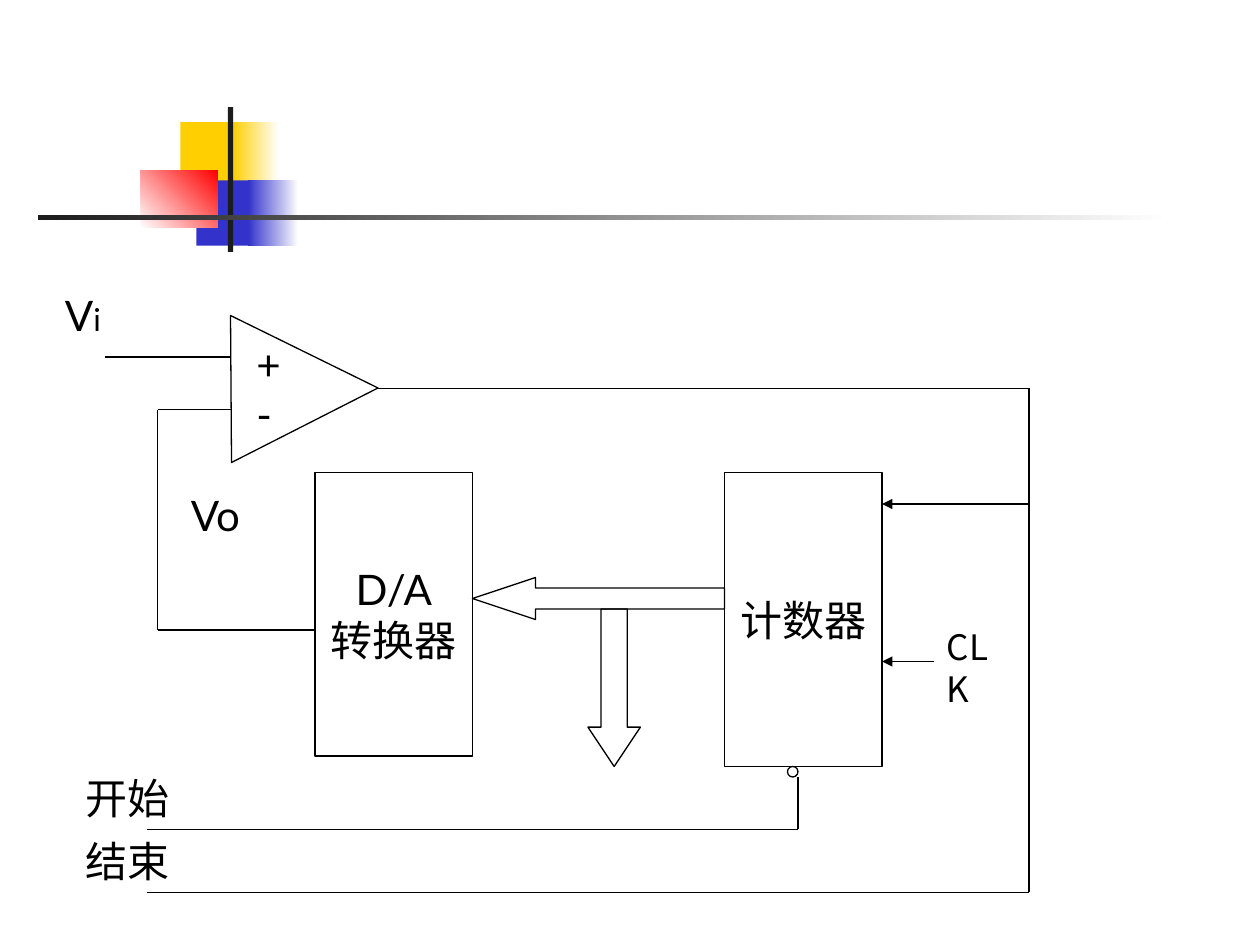
from typing import NamedTuple, Optional

from lxml import etree
from pptx import Presentation
from pptx.dml.color import RGBColor
from pptx.enum.shapes import MSO_CONNECTOR, MSO_SHAPE
from pptx.enum.text import MSO_ANCHOR, MSO_AUTO_SIZE, PP_ALIGN
from pptx.oxml.ns import qn
from pptx.util import Pt

RECT = MSO_SHAPE.RECTANGLE
TRIANGLE = MSO_SHAPE.ISOSCELES_TRIANGLE
OVAL = MSO_SHAPE.OVAL
LEFT_ARROW, DOWN_ARROW = MSO_SHAPE.LEFT_ARROW, MSO_SHAPE.DOWN_ARROW
STRAIGHT = MSO_CONNECTOR.STRAIGHT
MIDDLE = MSO_ANCHOR.MIDDLE
LEFT, CENTER = PP_ALIGN.LEFT, PP_ALIGN.CENTER
FIT_SHAPE = MSO_AUTO_SIZE.SHAPE_TO_FIT_TEXT

BLACK = RGBColor(0x00, 0x00, 0x00)
WHITE = RGBColor(0xFF, 0xFF, 0xFF)
YELLOW = RGBColor(0xFF, 0xCF, 0x01)
BLUE = RGBColor(0x33, 0x33, 0xCC)
RED = RGBColor(0xFF, 0x00, 0x00)
DARK = RGBColor(0x1C, 0x1C, 0x1C)
LATIN, HAN = "Lato", "Noto Sans CJK SC"
LINE_WIDTH = 0.75


class Box(NamedTuple):
    x: float
    y: float
    w: float
    h: float


class Ornament(NamedTuple):
    box: Box
    color: RGBColor
    fade_to: Optional[RGBColor] = None
    angle: float = 0


class Outline(NamedTuple):
    kind: MSO_SHAPE
    box: Box
    adjustments: tuple = ()
    rotation: float = 0
    lines: tuple = ()


class Wire(NamedTuple):
    """Points joined one after another; an arrow sits at the last one."""
    points: tuple
    arrow: bool = False


class Label(NamedTuple):
    box: Box
    runs: tuple
    font: str = LATIN
    space_before: float = 15


ORNAMENTS = (
    Ornament(Box(103, 69.8, 34.6, 37.4), YELLOW),
    Ornament(Box(133.2, 69.8, 26, 37.4), YELLOW, WHITE),
    Ornament(Box(112.3, 103, 33.1, 37.4), BLUE),
    Ornament(Box(141.8, 103, 28.8, 37.4), BLUE, WHITE),
    Ornament(Box(80.6, 97.2, 44, 33.1), WHITE, RED, 45),
    Ornament(Box(130.3, 61.2, 2.9, 82.8), DARK),
    Ornament(Box(21.6, 123.1, 648, 2.9), DARK, WHITE),
)
OUTLINES = (
    Outline(TRIANGLE, Box(132, 180, 84, 84), rotation=89.6),
    Outline(RECT, Box(180, 270, 90, 162), lines=("D/A", "转换器")),
    Outline(RECT, Box(414, 270, 90, 168), lines=("计数器",)),
    Outline(OVAL, Box(450, 438, 6, 6)),
    Outline(LEFT_ARROW, Box(270, 330, 144, 24), (0.5, 1.5)),
    Outline(DOWN_ARROW, Box(336, 348, 30, 90), (0.5, 0.75)),
)
WIRES = (
    Wire(((216, 222), (588, 222), (588, 510), (84, 510))),
    Wire(((456, 444), (456, 474), (84, 474))),
    Wire(((132, 204), (60, 204))),
    Wire(((132, 234), (90, 234), (90, 360), (180, 360))),
    Wire(((588, 288), (504, 288)), arrow=True),
    Wire(((534, 378), (504, 378)), arrow=True),
)
COMPARATOR_SIGNS = Box(139.5, 192, 36, 60)
LABELS = (
    Label(Box(30, 162, 42, 36), (("V", 24), ("i", 18)), space_before=11.2),
    Label(Box(102, 276, 54, 36), (("Vo", 24),)),
    Label(Box(534, 354, 48, 55.5), (("CLK", 20),), HAN, 12.5),
    Label(Box(42, 438, 78, 36), (("开始", 24),)),
    Label(Box(42, 474, 90, 36), (("结束", 24),)),
)


def lengths(box: Box) -> tuple:
    return tuple(Pt(v) for v in box)


def write(tf, paragraphs, *, font=LATIN, align=LEFT, space_before=0.0) -> None:
    """Fill a text frame; each paragraph is a sequence of (text, size) runs."""
    for i, runs in enumerate(paragraphs):
        p = tf.paragraphs[0] if i == 0 else tf.add_paragraph()
        p.alignment = align
        p.space_before = Pt(space_before)
        for text, size in runs:
            r = p.add_run()
            r.text = text
            r.font.name = font
            r.font.size = Pt(size)
            r.font.color.rgb = BLACK
            ea = etree.SubElement(r.font._element, qn("a:ea"))
            ea.set("typeface", HAN)


def draw_ornament(shapes, item: Ornament) -> None:
    sp = shapes.add_shape(RECT, *lengths(item.box))
    sp.shadow.inherit = False
    sp.line.fill.background()
    if item.fade_to is None:
        sp.fill.solid()
        sp.fill.fore_color.rgb = item.color
        return
    sp.fill.gradient()
    sp.fill.gradient_angle = item.angle
    for stop, position, color in zip(sp.fill.gradient_stops, (0, 1),
                                     (item.color, item.fade_to)):
        stop.position = position
        stop.color.rgb = color


def draw_outline(shapes, item: Outline) -> None:
    sp = shapes.add_shape(item.kind, *lengths(item.box))
    sp.shadow.inherit = False
    sp.fill.background()
    sp.line.color.rgb = BLACK
    sp.line.width = Pt(LINE_WIDTH)
    sp.rotation = item.rotation
    for i, value in enumerate(item.adjustments):
        sp.adjustments[i] = value
    if item.lines:
        tf = sp.text_frame
        tf.word_wrap = False
        tf.vertical_anchor = MIDDLE
        write(tf, [((text, 24),) for text in item.lines], align=CENTER)


def draw_wire(shapes, wire: Wire) -> None:
    for start, end in zip(wire.points, wire.points[1:]):
        line = shapes.add_connector(STRAIGHT, *(Pt(v) for v in start + end))
        line.line.color.rgb = BLACK
        line.line.width = Pt(LINE_WIDTH)
        etree.SubElement(line._element.spPr, qn("a:effectLst"))
    if wire.arrow:
        tail = etree.SubElement(line.line._get_or_add_ln(), qn("a:tailEnd"))
        tail.set("type", "triangle")


def draw_label(shapes, label: Label) -> None:
    tf = shapes.add_textbox(*lengths(label.box)).text_frame
    tf.word_wrap = True
    tf.auto_size = FIT_SHAPE
    write(tf, [label.runs], font=label.font, space_before=label.space_before)


def draw_comparator_signs(shapes) -> None:
    tf = shapes.add_textbox(*lengths(COMPARATOR_SIGNS)).text_frame
    tf.word_wrap = False
    tf.vertical_anchor = MIDDLE
    write(tf, [(("+", 24),), (("-", 24),)])


def main() -> None:
    prs = Presentation()
    prs.slide_width, prs.slide_height = Pt(720), Pt(540)
    shapes = prs.slides.add_slide(prs.slide_layouts[6]).shapes
    for ornament in ORNAMENTS:
        draw_ornament(shapes, ornament)
    for outline in OUTLINES:
        draw_outline(shapes, outline)
    draw_comparator_signs(shapes)
    for wire in WIRES:
        draw_wire(shapes, wire)
    for label in LABELS:
        draw_label(shapes, label)
    prs.save("out.pptx")


if __name__ == "__main__":
    main()
